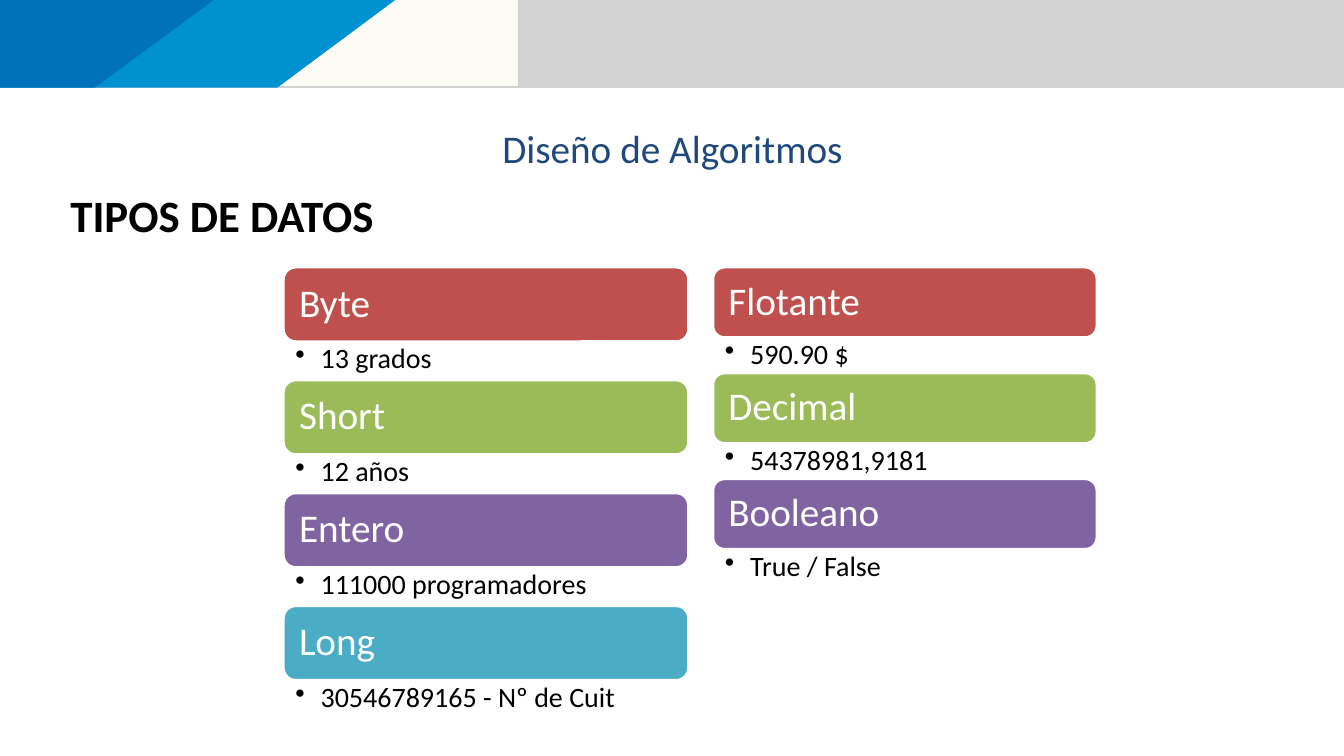
import pptx
import pptx.dml.color
import pptx.enum.shapes
import pptx.enum.text
import pptx.oxml.ns
import pptx.util
from lxml import etree

Inches = pptx.util.Inches
Pt = pptx.util.Pt
ANCHOR = pptx.enum.text.MSO_ANCHOR
ALIGN = pptx.enum.text.PP_ALIGN
FONT = "Calibri"
BAR_COLORS = ["C0504D", "9BBB59", "8064A2", "4BACC6"]
WHOLE_TYPES = [
    ("Byte", "13 grados"),
    ("Short", "12 años"),
    ("Entero", "111000 programadores"),
    ("Long", "30546789165 - Nº de Cuit"),
]
OTHER_TYPES = [
    ("Flotante", "590.90 $"),
    ("Decimal", "54378981,9181"),
    ("Booleano", "True / False"),
]


def rgb(value):
    """Return the colour for a hex string."""
    return pptx.dml.color.RGBColor.from_string(value)


def write(frame, text, size, color, insets, anchor=ANCHOR.TOP, align=ALIGN.LEFT):
    """Fill a text frame with one formatted paragraph and return the paragraph."""
    frame.word_wrap = True
    frame.auto_size = pptx.enum.text.MSO_AUTO_SIZE.NONE
    frame.vertical_anchor = anchor
    frame.margin_left, frame.margin_top, frame.margin_right, frame.margin_bottom = map(Inches, insets)
    paragraph = frame.paragraphs[0]
    paragraph.text = text
    paragraph.alignment = align
    paragraph.font.name = FONT
    paragraph.font.size = Pt(size)
    paragraph.font.color.rgb = rgb(color)
    return paragraph


def add_bullet(paragraph, indent):
    """Give a paragraph a round bullet with a hanging indent."""
    properties = paragraph._p.get_or_add_pPr()
    properties.set("marL", str(Inches(indent)))
    properties.set("indent", str(-Inches(indent)))
    bullet = etree.Element(pptx.oxml.ns.qn("a:buChar"), char="•")
    properties.append(bullet)


def add_band(slide, top_width, bottom_width, height, color):
    """Draw one banner band that starts at the top left corner of the slide."""
    corners = [(top_width, 0), (bottom_width, height), (0, height)]
    outline = slide.shapes.build_freeform(0, 0)
    outline.add_line_segments([(Inches(x), Inches(y)) for x, y in corners])
    band = outline.convert_to_shape()
    band.shadow.inherit = False
    band.fill.solid()
    band.fill.fore_color.rgb = rgb(color)
    band.line.fill.background()


def add_banner(slide, width, height):
    """Draw the layered banner across the top."""
    add_band(slide, width, width, height, "D2D2D3")
    add_band(slide, 5.14, 5.14, height - 0.02, "FCFBF4")
    add_band(slide, 3.92, 2.75, height, "0091D1")
    add_band(slide, 2.12, 0.94, height, "0071BB")


def add_headings(slide, left, top, width):
    """Place the course title and the topic heading below it."""
    course = slide.shapes.title
    course.left, course.top = Inches(left + 1.57), Inches(top)
    course.width, course.height = Inches(width), Inches(0.47)
    write(course.text_frame, "Diseño de Algoritmos", 28, "1F497D", (0, 0, 0, 0), align=ALIGN.CENTER)
    topic = slide.shapes.add_textbox(Inches(left), Inches(top + 0.58), Inches(3.63), Inches(0.64))
    heading = write(topic.text_frame, "TIPOS DE DATOS", 32, "000000", (0.1, 0.05, 0.1, 0.05))
    heading.font.bold = True


def add_type_column(slide, data_types, left, top, width, bar_height, example_height):
    """Stack coloured type bars, each with its example below."""
    for row, ((name, example), color) in enumerate(zip(data_types, BAR_COLORS)):
        bar_top = top + row * (bar_height + example_height)
        bar = slide.shapes.add_shape(
            pptx.enum.shapes.MSO_SHAPE.ROUNDED_RECTANGLE,
            Inches(left), Inches(bar_top), Inches(width), Inches(bar_height),
        )
        bar.shadow.inherit = False
        bar.fill.solid()
        bar.fill.fore_color.rgb = rgb(color)
        bar.line.color.rgb = rgb("FFFFFF")
        bar.line.width = Pt(2)
        label = write(bar.text_frame, name, 28, "FFFFFF", (0.12, 0.1, 0.12, 0.1), ANCHOR.MIDDLE)
        label.line_spacing = 0.9
        example_box = slide.shapes.add_textbox(
            Inches(left), Inches(bar_top + bar_height), Inches(width), Inches(example_height)
        )
        value = write(example_box.text_frame, example, 20, "000000", (0.12, 0.03, 0.16, 0.03))
        value.line_spacing = 0.9
        add_bullet(value, 0.25)


def main():
    """Build and save the slide."""
    deck = pptx.Presentation()
    deck.slide_width, deck.slide_height = Inches(13.33), Inches(7.5)
    slide = deck.slides.add_slide(deck.slide_layouts[5])
    add_banner(slide, 13.33, 0.87)
    add_headings(slide, 0.6, 1.23, 9)
    add_type_column(slide, WHOLE_TYPES, 2.81, 2.65, 4.02, 0.74, 0.38)
    add_type_column(slide, OTHER_TYPES, 7.07, 2.65, 3.81, 0.7, 0.35)
    deck.save("out.pptx")


if __name__ == "__main__":
    main()
